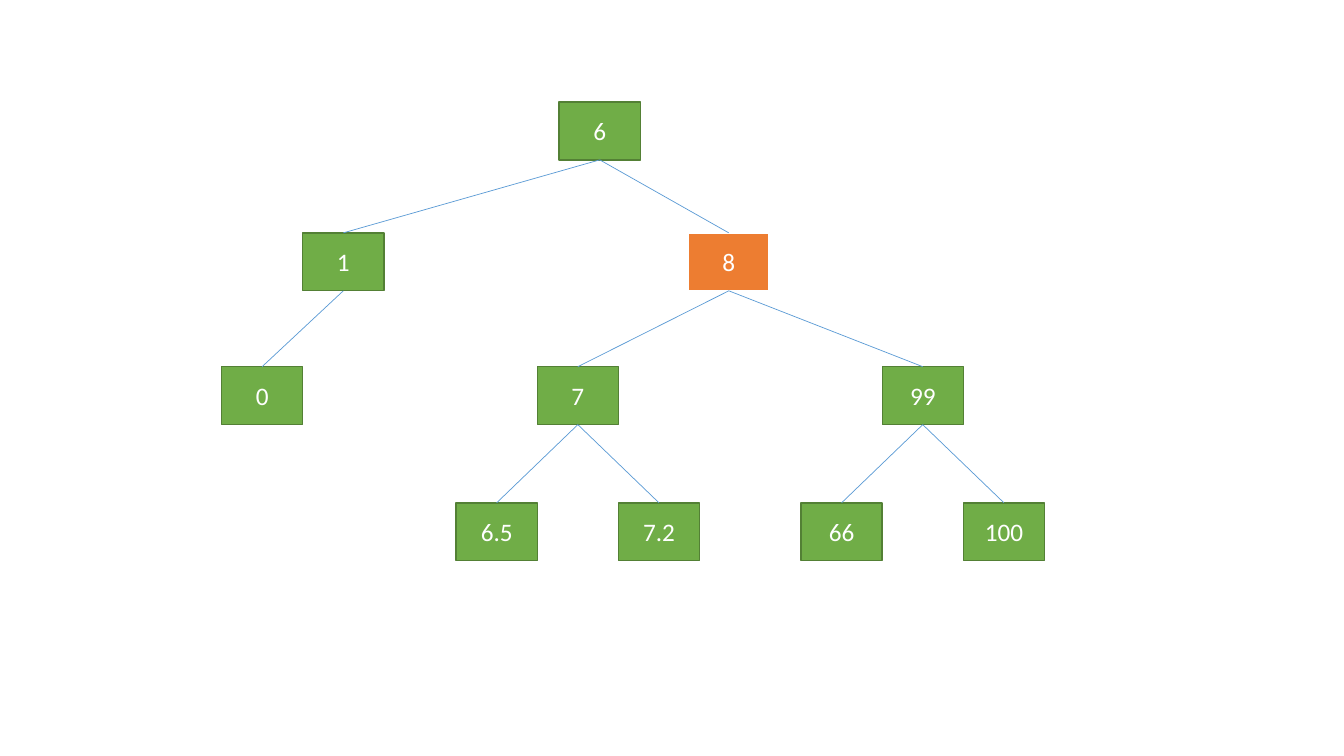
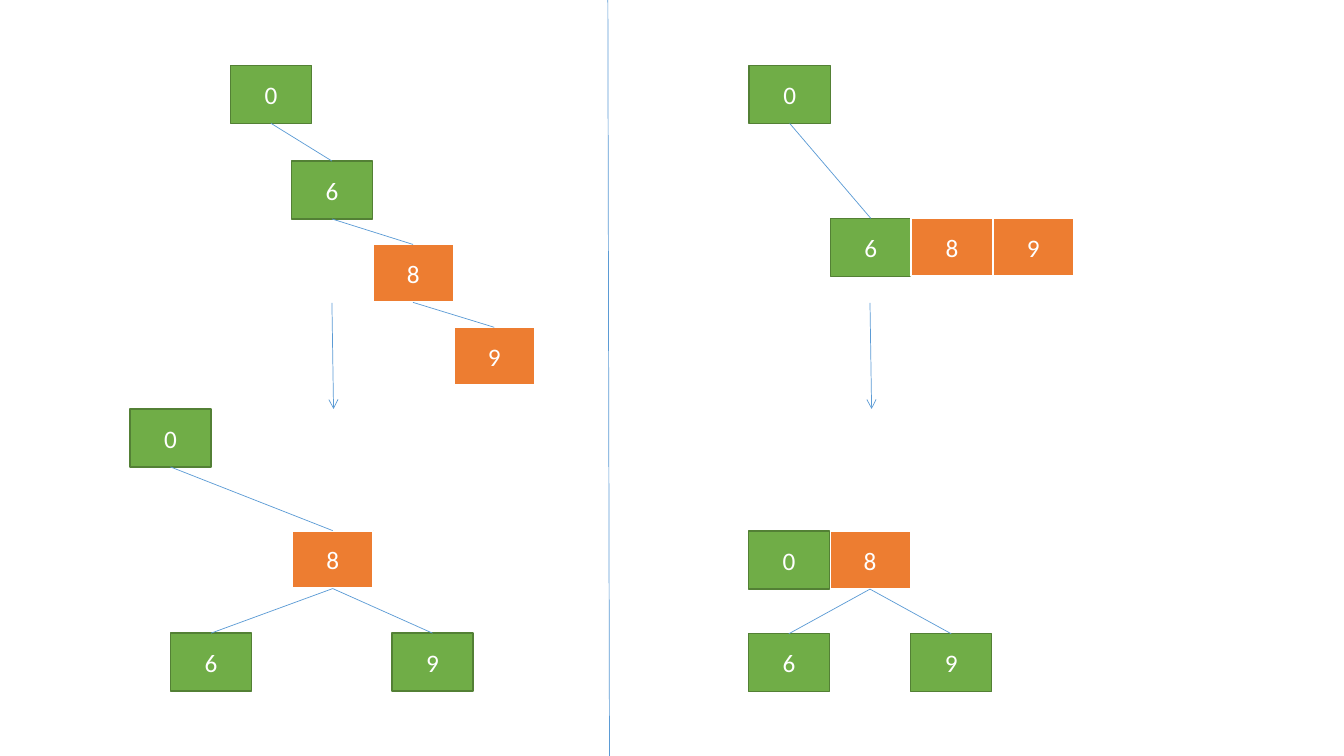
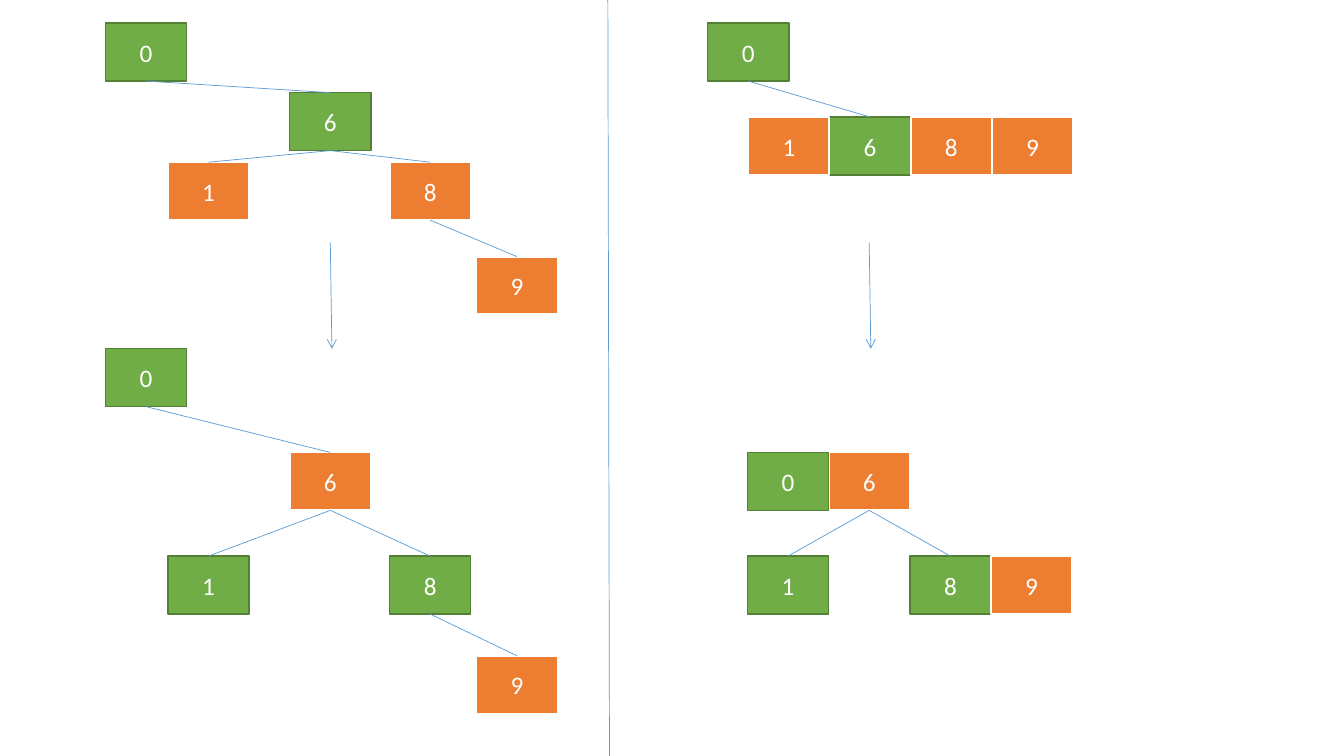
"""Draw search trees beside their grouped-key forms on three slides."""
from dataclasses import dataclass

from lxml import etree
from pptx import Presentation
from pptx.dml.color import RGBColor
from pptx.enum.shapes import MSO_CONNECTOR, MSO_SHAPE
from pptx.enum.text import MSO_ANCHOR, PP_ALIGN
from pptx.oxml.ns import qn
from pptx.shapes.autoshape import Shape
from pptx.shapes.connector import Connector
from pptx.slide import Slide
from pptx.util import Inches, Pt

LINE = MSO_CONNECTOR.STRAIGHT
RECT = MSO_SHAPE.RECTANGLE
MIDDLE = MSO_ANCHOR.MIDDLE
CENTER = PP_ALIGN.CENTER
TOP, BOTTOM = 0, 2
BLANK = 6

WIDE, HIGH = Inches(13.33), Inches(7.5)
COLS, ROWS = 16.56, 13.05
COL, ROW = WIDE / COLS, HIGH / ROWS


@dataclass(frozen=True)
class Paint:
    """Fill, edge colour and edge width of a box."""
    fill: str
    edge: str
    width: float


@dataclass(frozen=True)
class Theme:
    """Colours, font and sizes shared by all slides."""
    cool: Paint = Paint("70AD47", "538035", 1)
    hot: Paint = Paint("ED7D31", "FFFFFF", 1.5)
    text: str = "FFFFFF"
    link: str = "5B9BD5"
    thin: float = 0.5
    font: str = "Calibri"
    size: int = 18
    inset: float = 0.1


@dataclass(frozen=True)
class Node:
    """Keys in a row, placed by the joined key's shift from its parent."""
    keys: str
    col: float
    row: float
    kids: tuple["Node", ...] = ()
    hot: str = ""
    join: int = 0


@dataclass(frozen=True)
class Arrow:
    """A step arrow, placed by its start."""
    col: float
    row: float


@dataclass(frozen=True)
class Page:
    """The trees of one slide, with arrows and a divider if split."""
    trees: tuple[Node, ...]
    arrows: tuple[Arrow, ...] = ()
    split: bool = False


THEME = Theme()
LEAN, DROP = 0.02, 1.83

PAGES = (
    Page((
        Node("6", 7.39, 1.76, (
            Node("1", -3.16, 2.26, (Node("0", -1, 2.31),)),
            Node("8", 1.59, 2.26, (
                Node("7", -1.86, 2.31, (
                    Node("6.5", -1, 2.35), Node("7.2", 1, 2.35))),
                Node("99", 2.39, 2.31, (
                    Node("66", -1, 2.35), Node("100", 1, 2.35))),
            ), hot="8"),
        )),
    )),
    Page((
        Node("0", 3.34, 1.13, (
            Node("6", 0.75, 1.65, (
                Node("8", 1, 1.44, (
                    Node("9", 1, 1.43, hot="9"),), hot="8"),)),)),
        Node("0", 2.1, 7.06, (
            Node("8", 2, 2.1, (
                Node("6", -1.5, 1.77), Node("9", 1.23, 1.77)), hot="8"),)),
        Node("0", 9.73, 1.13, (Node("6 8 9", 1, 2.64, hot="8 9"),)),
        Node("0 8", 10.72, 9.17, (
            Node("6", -1, 1.77), Node("9", 1, 1.77)), hot="8", join=1),
    ), (Arrow(4.09, 5.23), Arrow(10.72, 5.23)), True),
    Page((
        Node("0", 1.8, 0.4, (
            Node("6", 2.27, 1.2, (
                Node("1", -1.5, 1.2, hot="1"),
                Node("8", 1.23, 1.2, (
                    Node("9", 1.07, 1.63, hot="9"),), hot="8"))),)),
        Node("0", 1.8, 6.02, (
            Node("6", 2.27, 1.79, (
                Node("1", -1.5, 1.79),
                Node("8", 1.23, 1.79, (
                    Node("9", 1.07, 1.72, hot="9"),))), hot="6"),)),
        Node("0", 9.22, 0.4, (
            Node("1 6 8 9", 1.5, 1.62, hot="1 8 9", join=1),)),
        Node("0 6", 10.71, 7.81, (
            Node("1", -1, 1.79), Node("8 9", 1, 1.79, hot="9")),
            hot="6", join=1),
    ), (Arrow(4.07, 4.19), Arrow(10.71, 4.19)), True),
)


def add_box(slide: Slide, key: str, col: float, row: float, paint: Paint) -> Shape:
    """Draw one key in a box centred on a column."""
    box = slide.shapes.add_shape(
        RECT, round((col - 0.5) * COL), round(row * ROW), round(COL), round(ROW))
    box.shadow.inherit = False
    box.fill.solid()
    box.fill.fore_color.rgb = RGBColor.from_string(paint.fill)
    box.line.color.rgb = RGBColor.from_string(paint.edge)
    box.line.width = Pt(paint.width)
    frame = box.text_frame
    frame.margin_left = frame.margin_right = Inches(THEME.inset)
    frame.margin_top = frame.margin_bottom = Inches(THEME.inset)
    frame.vertical_anchor = MIDDLE
    frame.text = key
    label = frame.paragraphs[0]
    label.alignment = CENTER
    font = label.runs[0].font
    font.name, font.size = THEME.font, Pt(THEME.size)
    font.color.rgb = RGBColor.from_string(THEME.text)
    return box


def add_line(slide: Slide, col: float, row: float, width: float, height: float) -> Connector:
    """Draw a thin line from a grid point across a width and height."""
    line = slide.shapes.add_connector(
        LINE, round(col * COL), round(row * ROW),
        round((col + width) * COL), round((row + height) * ROW))
    line.line.color.rgb = RGBColor.from_string(THEME.link)
    line.line.width = Pt(THEME.thin)
    etree.SubElement(line._element.spPr, qn("a:effectLst"))
    return line


def add_link(slide: Slide, upper: Shape, lower: Shape) -> None:
    """Join the foot of one box to the head of another."""
    link = add_line(slide, 0, 0, 0, 0)
    link.begin_connect(upper, BOTTOM)
    link.end_connect(lower, TOP)


def add_arrow(slide: Slide, arrow: Arrow) -> None:
    """Draw a step arrow pointing down."""
    line = add_line(slide, arrow.col, arrow.row, LEAN, DROP)
    etree.SubElement(line.line._get_or_add_ln(), qn("a:tailEnd"), type="arrow")


def add_tree(slide: Slide, node: Node, col: float = 0, row: float = 0) -> Shape:
    """Draw a node and all below it, and return its joined box."""
    col, row = col + node.col, row + node.row
    keys = list(enumerate(node.keys.split(), -node.join))
    boxes = {
        shift: add_box(slide, key, col + shift, row,
                       THEME.hot if key in node.hot.split() else THEME.cool)
        for shift, key in sorted(keys, key=lambda item: abs(item[0]))}
    for kid in node.kids:
        add_link(slide, boxes[0], add_tree(slide, kid, col, row))
    return boxes[0]


def main() -> None:
    """Build and save the slides."""
    deck = Presentation()
    deck.slide_width, deck.slide_height = WIDE, HIGH
    for page in PAGES:
        slide = deck.slides.add_slide(deck.slide_layouts[BLANK])
        for tree in page.trees:
            add_tree(slide, tree)
        for arrow in page.arrows:
            add_arrow(slide, arrow)
        if page.split:
            add_line(slide, 7.49, 0, LEAN, ROWS)
    deck.save("out.pptx")


if __name__ == "__main__":
    main()
